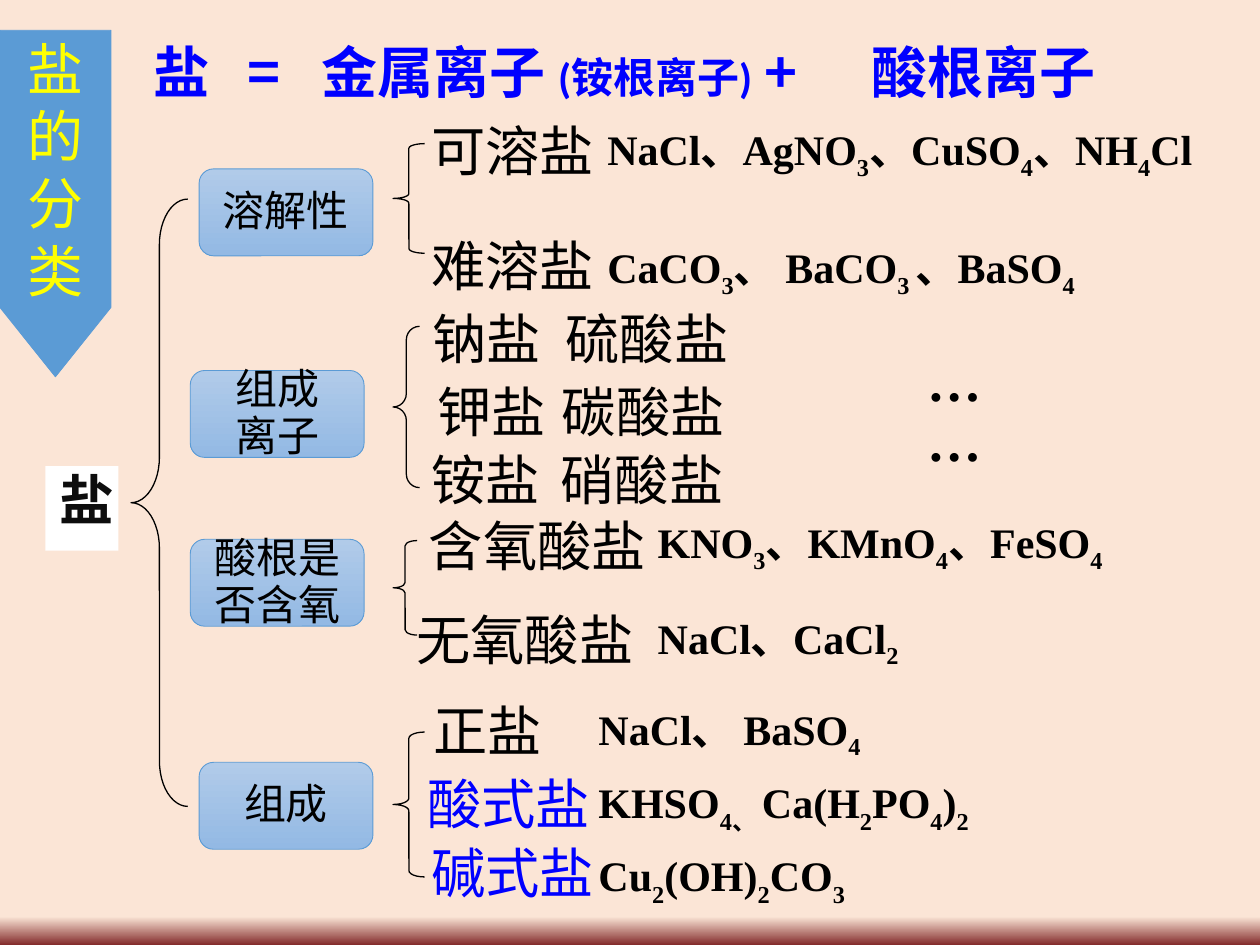
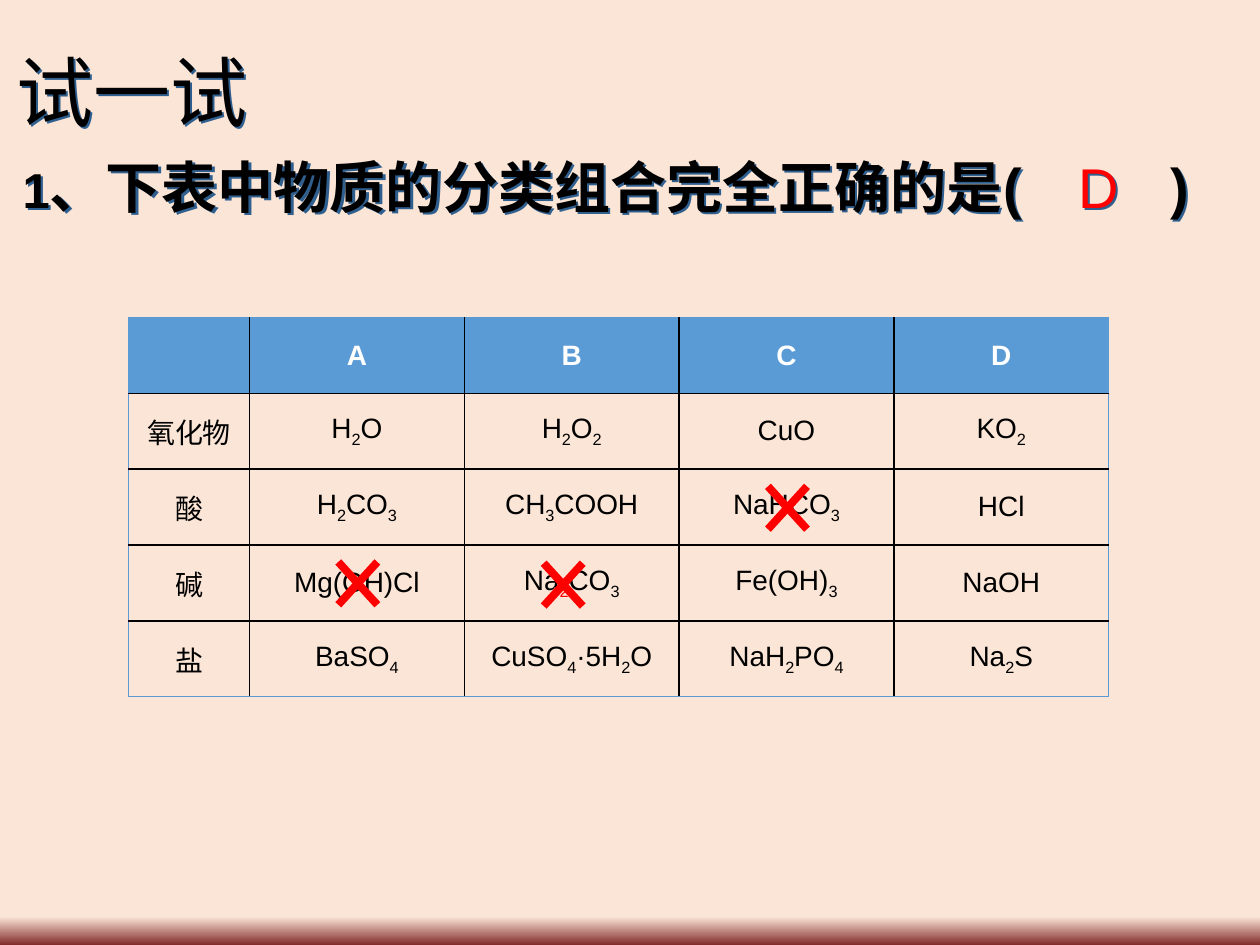
import pptx
import pptx.dml.color
import pptx.enum.shapes
import pptx.enum.text
import pptx.oxml
import pptx.oxml.ns
import pptx.util
from lxml import etree
from pptx.util import Inches

SHAPES = pptx.enum.shapes.MSO_SHAPE
ANCHORS = pptx.enum.text.MSO_ANCHOR
ALIGNMENTS = pptx.enum.text.PP_ALIGN

BLACK = "000000"
WHITE = "FFFFFF"
BLUE = "5B9BD5"
PURE_BLUE = "0000FF"
RED = "FF0000"
YELLOW = "FFFF00"
SHADOW = "2F5F8F"
SANS_JP = "Noto Sans CJK JP"
SANS_SC = "Noto Sans CJK SC"
SERIF = "Times New Roman"


def rgb(value):
    return pptx.dml.color.RGBColor.from_string(value)


def add_child(parent, tag, **attributes):
    child = etree.SubElement(parent, pptx.oxml.ns.qn(tag))
    for name, value in attributes.items():
        child.set(name, str(value))
    return child


class Deck:
    def __init__(self):
        self.presentation = pptx.Presentation()
        self.presentation.slide_width = Inches(10)
        self.presentation.slide_height = Inches(7.5)
        background = self.presentation.slide_master.background
        self.gradient(background.fill, (0.97, "FBE5D6"), (1, "832B2B"))
        self.slide = None

    def new_slide(self):
        layout = self.presentation.slide_layouts[6]
        self.slide = self.presentation.slides.add_slide(layout)

    def gradient(self, fill, *stops):
        fill.gradient()
        fill.gradient_angle = 270
        for stop, (position, color) in zip(fill.gradient_stops, stops):
            stop.position = position
            stop.color.rgb = rgb(color)

    def style_run(self, run, size, font, color, bold):
        run.font.size = pptx.util.Pt(size)
        run.font.name = font
        run.font.bold = bold
        run.font.color.rgb = rgb(color)
        east_asian = font if "CJK" in font else SANS_SC
        add_child(run._r.get_or_add_rPr(), "a:ea", typeface=east_asian)

    def set_text(self, text_frame, text, size=31, font=SANS_JP, color=BLACK, bold=False,
                 align=ALIGNMENTS.CENTER, spacing=0.93, lowered=-25, tabs=()):
        for index, line in enumerate(text.split("\n")):
            paragraph = text_frame.paragraphs[0] if index == 0 else text_frame.add_paragraph()
            if tabs:
                tab_list = add_child(paragraph._p.get_or_add_pPr(), "a:tabLst")
                for position in tabs:
                    add_child(tab_list, "a:tab", pos=Inches(position), algn="l")
            paragraph.alignment = align
            paragraph.line_spacing = spacing
            for number, part in enumerate(line.split("~")):
                if not part:
                    continue
                run = paragraph.add_run()
                run.text = part
                self.style_run(run, size, font, color, bold)
                if number % 2 and lowered:
                    run._r.get_or_add_rPr().set("baseline", str(lowered * 1000))

    def text(self, left, top, width, height, text, inset=0.11, wrap=True, **style):
        shape = self.slide.shapes.add_textbox(*map(Inches, (left, top, width, height)))
        text_frame = shape.text_frame
        text_frame.word_wrap = wrap
        text_frame.margin_left = Inches(inset)
        text_frame.margin_right = Inches(0.11)
        text_frame.margin_top = text_frame.margin_bottom = Inches(0.06)
        self.set_text(text_frame, text, **style)
        return shape

    def shadowed_text(self, *place, **style):
        shape = self.text(*place, **style)
        effects = add_child(shape._element.spPr, "a:effectLst")
        shadow = add_child(effects, "a:outerShdw", dist=Inches(0.025), dir=2700000, algn="ctr")
        add_child(shadow, "a:srgbClr", val=SHADOW)
        return shape

    def formulas(self, left, top, width, height, text, lowered=-25):
        self.text(left, top, width, height, text, size=24, font=SERIF, bold=True,
                  align=ALIGNMENTS.LEFT, lowered=lowered)

    def shape(self, kind, left, top, width, height, fill=None, line=None, weight=0.5):
        shape = self.slide.shapes.add_shape(kind, *map(Inches, (left, top, width, height)))
        shape.shadow.inherit = False
        if fill:
            shape.fill.solid()
            shape.fill.fore_color.rgb = rgb(fill)
        else:
            shape.fill.background()
        if line:
            shape.line.color.rgb = rgb(line)
            shape.line.width = pptx.util.Pt(weight)
        else:
            shape.line.fill.background()
        shape.text_frame.vertical_anchor = ANCHORS.MIDDLE
        return shape

    def brace(self, left, top, width, height, curve):
        brace = self.shape(SHAPES.LEFT_BRACE, left, top, width, height, line=BLACK, weight=0.75)
        brace.adjustments[0] = curve
        brace.adjustments[1] = 0.5

    def criterion(self, left, top, text):
        shape = self.shape(SHAPES.FLOWCHART_ALTERNATE_PROCESS, left, top, 1.38, 0.69, line=BLUE)
        self.gradient(shape.fill, (0, "B1CBE9"), (1, "93B9E4"))
        self.set_text(shape.text_frame, text, size=24, font=SANS_SC)

    def cross(self, center_x, center_y):
        left, right = center_x - 0.155, center_x + 0.155
        top, bottom = center_y - 0.17, center_y + 0.17
        for start, end in ((top, bottom), (bottom, top)):
            line = self.slide.shapes.add_connector(
                pptx.enum.shapes.MSO_CONNECTOR.STRAIGHT,
                Inches(left), Inches(start), Inches(right), Inches(end))
            line.line.color.rgb = rgb(RED)
            line.line.width = pptx.util.Pt(4.5)
            add_child(line._element.spPr, "a:effectLst")

    def border(self, cell, side, outer):
        color, weight = (BLUE, 0.5) if outer else (BLACK, 1)
        line = add_child(cell._tc.get_or_add_tcPr(), "a:ln" + side, w=pptx.util.Pt(weight))
        add_child(add_child(line, "a:solidFill"), "a:srgbClr", val=color)

    def table(self, left, top, widths, row_height, rows):
        frame = self.slide.shapes.add_table(
            len(rows), len(widths), Inches(left), Inches(top),
            Inches(sum(widths)), Inches(row_height * len(rows)))
        table = frame.table
        table.horz_banding = False
        for column, width in zip(table.columns, widths):
            column.width = Inches(width)
        for r, texts in enumerate(rows):
            table.rows[r].height = Inches(row_height)
            for c, text in enumerate(texts):
                cell = table.cell(r, c)
                self.border(cell, "L", c == 0)
                self.border(cell, "R", c == len(widths) - 1)
                self.border(cell, "T", r == 0)
                self.border(cell, "B", r == len(rows) - 1)
                cell.vertical_anchor = ANCHORS.MIDDLE
                if r == 0:
                    cell.fill.solid()
                    cell.fill.fore_color.rgb = rgb(BLUE)
                else:
                    cell.fill.background()
                self.set_text(cell.text_frame, text, size=16, font="Arial", spacing=1,
                              color=BLACK if r else WHITE, bold=r == 0)
        return table


def build_salt_classes(deck):
    deck.new_slide()
    root = deck.shape(SHAPES.RECTANGLE, 0.36, 3.7, 0.58, 0.67, fill=WHITE)
    root.text_frame.vertical_anchor = ANCHORS.TOP
    root.text_frame.margin_left = root.text_frame.margin_right = Inches(0.11)
    deck.set_text(root.text_frame, "盐", font=SANS_SC, color="0D0D0D", bold=True)

    for brace in (
        (1.04, 1.58, 0.45, 4.82, 0.8),
        (3.12, 1.14, 0.25, 0.87, 0.15),
        (3.12, 2.59, 0.21, 1.28, 0.51),
        (3.12, 4.29, 0.19, 0.75, 0.22),
        (3.12, 5.81, 0.25, 1.15, 0.2),
    ):
        deck.brace(*brace)

    for salt in (
        (3.3, 0.92, 1.54, 0.91, "可溶盐"),
        (3.3, 1.83, 1.54, 0.51, "难溶盐"),
        (3.2, 2.41, 1.32, 0.51, "钠盐"),
        (3.19, 2.99, 1.42, 0.58, "钾盐"),
        (3.26, 3.53, 1.19, 0.46, "铵盐"),
        (4.26, 2.41, 1.75, 0.58, "硫酸盐"),
        (4.23, 2.99, 1.75, 0.58, "碳酸盐"),
        (4.32, 3.53, 1.55, 0.63, "硝酸盐"),
        (3.23, 4.05, 2.07, 0.62, "含氧酸盐"),
        (3.04, 4.8, 2.25, 0.58, "无氧酸盐"),
        (3.3, 5.52, 1.14, 0.5, "正盐"),
    ):
        deck.text(*salt)
    deck.text(3.23, 6.1, 1.61, 0.52, "酸式盐", color=PURE_BLUE)
    deck.text(3.3, 6.65, 1.54, 0.58, "碱式盐", color=PURE_BLUE)
    deck.text(7.04, 2.74, 1.07, 0.59, "……", wrap=False, font=SERIF, bold=True)

    for examples in (
        (4.71, 0.92, 5.29, 0.65, "NaCl、AgNO~3~、CuSO~4~、NH~4~Cl"),
        (4.71, 1.86, 4.61, 0.44, "CaCO~3~、 BaCO~3 ~、BaSO~4~"),
        (5.11, 4.04, 4.38, 0.58, "KNO~3~、KMnO~4~、FeSO~4~"),
        (5.11, 4.8, 3.11, 0.43, "NaCl、CaCl~2~"),
        (4.64, 5.52, 2.93, 0.49, "NaCl、 BaSO~4~"),
        (4.64, 6.1, 3.4, 0.49, "KHSO~4、 ~Ca(H~2~PO~4~)~2~", -30),
        (4.64, 6.68, 2.5, 0.49, "Cu~2~(OH)~2~CO~3~", -30),
    ):
        deck.formulas(*examples)

    definition = deck.text(1.12, 0.24, 8.03, 0.64, "盐\t=\t金属离子 ~(铵根离子)~ +\t酸根离子",
                           inset=0.1, size=32, color=PURE_BLUE, bold=True, spacing=1,
                           align=ALIGNMENTS.LEFT, lowered=0, tabs=(0.75, 1.33, 5.7))
    ammonium = definition.text_frame.paragraphs[0].runs[1]
    ammonium.font.size = pptx.util.Pt(24)
    ammonium.font.name = "Calibri"

    deck.criterion(1.58, 1.34, "溶解性")
    deck.criterion(1.51, 2.94, "组成\n离子")
    deck.criterion(1.51, 4.28, "酸根是否含氧")
    deck.criterion(1.58, 6.05, "组成")

    banner = deck.shape(SHAPES.FLOWCHART_OFFPAGE_CONNECTOR, 0, 0.24, 0.88, 2.75,
                        fill=BLUE, line=BLUE)
    deck.set_text(banner.text_frame, "盐的\n分\n类", size=32, font=SANS_SC, color=YELLOW,
                  spacing=1)


def build_exercise(deck):
    deck.new_slide()
    deck.shadowed_text(0, 0.36, 2.1, 0.8, "试一试", size=44, font=SERIF)
    question = deck.shadowed_text(0, 1.2, 9.63, 0.61, "~1~、下表中物质的分类组合完全正确的是(\t)",
                                  inset=0.18, size=32, font="Arial", bold=True, lowered=0,
                                  align=ALIGNMENTS.LEFT, tabs=(9.11,))
    question.text_frame.paragraphs[0].runs[0].font.size = pptx.util.Pt(28)

    table = deck.table(1.02, 2.52, [0.96] + [1.705] * 4, 0.602, (
        ("", "A", "B", "C", "D"),
        ("氧化物", "H~2~O", "H~2~O~2~", "CuO", "KO~2~"),
        ("酸", "H~2~CO~3~", "CH~3~COOH", "NaHCO~3~", "HCl"),
        ("碱", "Mg(OH)Cl", "Na~2~CO~3~", "Fe(OH)~3~", "NaOH"),
        ("盐", "BaSO~4~", "CuSO~4~·5H~2~O", "NaH~2~PO~4~", "Na~2~S"),
    ))
    sodium_count = table.cell(3, 2).text_frame.paragraphs[0].runs[1]
    sodium_count.font.color.rgb = rgb(RED)

    for center in ((6.25, 4.03), (2.84, 4.63), (4.47, 4.64)):
        deck.cross(*center)
    deck.shadowed_text(8.25, 1.2, 0.94, 0.61, "D", size=32, font="Arial", color=RED)


def main():
    deck = Deck()
    build_salt_classes(deck)
    build_exercise(deck)
    deck.presentation.save("out.pptx")


if __name__ == "__main__":
    main()
